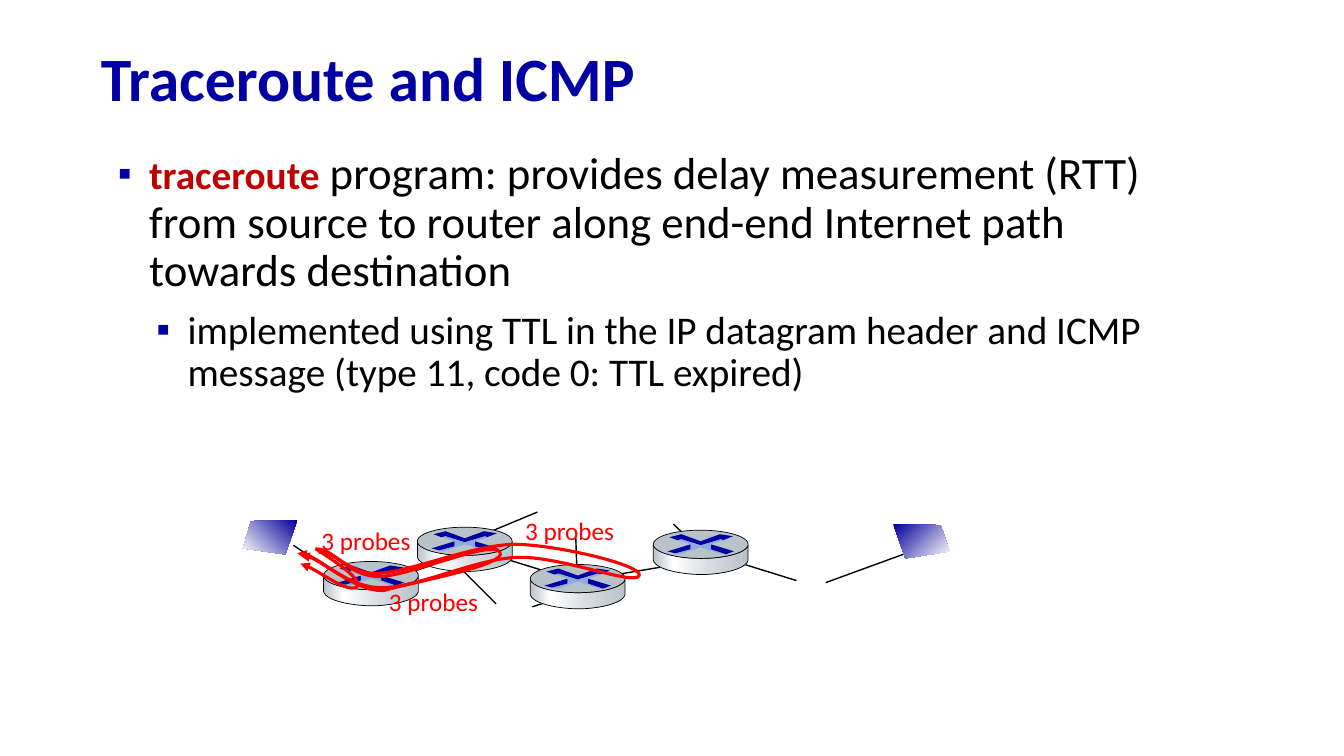
from lxml.etree import SubElement
from pptx import Presentation
from pptx.dml.color import RGBColor
from pptx.enum.shapes import MSO_CONNECTOR, MSO_SHAPE
from pptx.enum.text import MSO_ANCHOR, MSO_AUTO_SIZE, PP_ALIGN
from pptx.oxml.ns import qn
from pptx.util import Pt

PX = 9144
CURVE_STEPS = 16
COLORS = {
    "navy": "0000A3", "deep_navy": "0000A8", "host": "000099",
    "crimson": "C00000", "red": "FF0000", "black": "000000",
    "white": "FFFFFF", "steel": "B8C2C9", "silver": "D6DCE0",
    "sky": "8FAADC",
}
WALL_STOPS = [(0, "steel"), (21, "white"), (60, "silver"), (100, "steel")]
HOST_STOPS = [(0, "host"), (100, "white")]

ROUTER_WALL = [(94, 15), (94, 30), (91, 40, 63, 44, 48, 44), (32, 44, 3, 40, 0, 30),
               (0, 15), (5, 24, 31, 28, 47, 28), (63, 28, 90, 25, 94, 15)]
ROUTER_MARKS = [
    ("navy", [(66, 4), (79, 6), (69, 10), (67, 9), (47, 15), (28, 9),
              (24, 10), (16, 7), (28, 4), (47, 11)]),
    ("navy", [(57, 14), (80, 21), (72, 24), (57, 19)]),
    ("deep_navy", [(37, 14), (37, 19), (22, 23), (14, 21)]),
    ("sky", [(24, 10), (28, 9), (47, 15), (67, 9), (70, 10), (57, 14), (57, 19), (72, 24),
             (68, 24), (47, 17), (26, 24), (22, 23), (37, 19), (37, 14), (25, 10)]),
]
LINKS = [
    (51, 41, 102, 75), (145, 75, 215, 52), (247, 50, 321, 73), (293, 8, 221, 38),
    (218, 65, 252, 99), (449, 57, 354, 73), (341, 85, 288, 102), (476, 53, 550, 76),
    (664, 47, 579, 78), (428, 20, 463, 54), (331, 31, 332, 60),
]
NEAR_ROUTERS = [(81, 57), (174, 23), (286, 60)]
LAST_ROUTER = (408, 26)
PROBE_LABELS = [(69, 16), (136, 77), (271, 6)]
HOSTS = [
    (225, [(55, 16), (9, 17), (1, 44), (43, 50)]),
    (315, [(646, 20), (693, 21), (702, 47), (658, 54)]),
]
PROBES = [
    [(73, 45), (88, 42, 103, 69, 133, 69), (167, 68, 229, 40, 272, 40),
     (315, 41, 398, 61, 394, 71), (390, 82, 315, 51, 272, 53),
     (229, 55, 173, 84, 137, 83), (101, 83, 70, 45, 55, 49)],
    [(73, 44), (79, 49, 122, 74, 114, 82), (105, 90, 73, 63, 58, 59)],
    [(76, 48), (91, 44, 106, 72, 136, 72), (166, 72, 250, 34, 256, 48),
     (263, 61, 171, 77, 140, 86), (107, 86, 73, 48, 58, 51)],
]


def rgb(color):
    return RGBColor.from_string(COLORS[color])


def apply(target, **values):
    for key, value in values.items():
        setattr(target, key, value)


def place(target, box):
    apply(target, **{key: value * PX
                     for key, value in zip(("left", "top", "width", "height"), box)})


def write(paragraph, text, color, size, bold=False):
    run = paragraph.add_run()
    run.text = text
    apply(run.font, name="Calibri", size=Pt(size), bold=bold)
    run.font.color.rgb = rgb(color)


def add_bullet(paragraph, left, hanging):
    properties = paragraph._p.get_or_add_pPr()
    properties.set("marL", str(left * PX))
    properties.set("indent", str(-hanging * PX))
    bullet_color = SubElement(properties, qn("a:buClr"))
    SubElement(bullet_color, qn("a:srgbClr"), val=COLORS["navy"])
    SubElement(properties, qn("a:buFont"), typeface="Arial")
    SubElement(properties, qn("a:buChar"), char="▪")


def fill_solid(shape, color):
    shape.fill.solid()
    shape.fill.fore_color.rgb = rgb(color)


def fill_gradient(shape, stops, angle):
    shape.fill.gradient()
    shape.fill.gradient_angle = angle
    stop_list = shape._element.spPr.find(".//" + qn("a:gsLst"))
    for old_stop in list(stop_list):
        stop_list.remove(old_stop)
    for percent, color in stops:
        stop = SubElement(stop_list, qn("a:gs"), pos=str(percent * 1000))
        SubElement(stop, qn("a:srgbClr"), val=COLORS[color])


def draw_line(line, color, width):
    line.color.rgb = rgb(color)
    line.width = Pt(width)


def trace(outline):
    points = [outline[0]]
    for step in outline[1:]:
        if len(step) == 2:
            points.append(step)
            continue
        controls = [points[-1], step[:2], step[2:4], step[4:]]
        for index in range(1, CURVE_STEPS + 1):
            t = index / CURVE_STEPS
            weights = ((1 - t) ** 3, 3 * t * (1 - t) ** 2, 3 * t * t * (1 - t), t ** 3)
            points.append(tuple(sum(weight * control[axis]
                                    for weight, control in zip(weights, controls))
                                for axis in (0, 1)))
    return points


def add_outline(slide, origin, outline, close=True):
    points = [tuple(round((start + offset) * PX) for start, offset in zip(origin, point))
              for point in trace(outline)]
    builder = slide.shapes.build_freeform(*points[0], scale=1.0)
    builder.add_line_segments(points[1:], close=close)
    shape = builder.convert_to_shape()
    shape.shadow.inherit = False
    shape.line.fill.background()
    return shape


def add_title(slide, box):
    title = slide.shapes.title
    place(title, box)
    title.text_frame.vertical_anchor = MSO_ANCHOR.MIDDLE
    heading = title.text_frame.paragraphs[0]
    apply(heading, alignment=PP_ALIGN.LEFT, line_spacing=0.9)
    write(heading, "Traceroute and ICMP", "navy", 44, True)


def add_summary(slide, box):
    summary = slide.placeholders[1]
    place(summary, box)
    summary.text_frame.auto_size = MSO_AUTO_SIZE.NONE
    program = summary.text_frame.paragraphs[0]
    detail = summary.text_frame.add_paragraph()
    for paragraph, level, left, before in ((program, 0, 31, 0), (detail, 1, 69, 10)):
        add_bullet(paragraph, left, 31)
        apply(paragraph, level=level, line_spacing=0.9, space_before=Pt(before))
    write(program, "traceroute", "crimson", 28, True)
    write(program, " ", "red", 32)
    write(program, "program: provides delay measurement (RTT) from source to router "
          "along end-end Internet path towards destination", "black", 32)
    write(detail, "implemented using TTL in the IP datagram header and ICMP message "
          "(type 11, code 0: TTL expired)", "black", 28)


def add_link(slide, origin, ends):
    left, top = origin
    x1, y1, x2, y2 = ends
    link = slide.shapes.add_connector(
        MSO_CONNECTOR.STRAIGHT, (left + x1) * PX, (top + y1) * PX,
        (left + x2) * PX, (top + y2) * PX)
    draw_line(link.line, "black", 1)
    SubElement(link._element.spPr, qn("a:effectLst"))


def add_router(slide, origin):
    wall = add_outline(slide, origin, ROUTER_WALL)
    fill_gradient(wall, WALL_STOPS, 0)
    left, top = origin
    lid = slide.shapes.add_shape(MSO_SHAPE.OVAL, left * PX, top * PX, 94 * PX, 28 * PX)
    lid.shadow.inherit = False
    fill_solid(lid, "steel")
    for part in (wall, lid):
        draw_line(part.line, "black", 0.5)
    for color, outline in ROUTER_MARKS:
        fill_solid(add_outline(slide, origin, outline), color)


def add_probe_label(slide, origin):
    left, top = origin
    label = slide.shapes.add_textbox(left * PX, top * PX, 153 * PX, 40 * PX)
    apply(label.text_frame, word_wrap=True, auto_size=MSO_AUTO_SIZE.SHAPE_TO_FIT_TEXT)
    write(label.text_frame.paragraphs[0], "3 probes", "red", 18)


def add_probe(slide, origin, outline):
    probe = add_outline(slide, origin, outline, close=False)
    probe.fill.background()
    draw_line(probe.line, "red", 2.25)
    SubElement(probe.line._get_or_add_ln(), qn("a:tailEnd"), type="triangle")


def add_network(slide, origin):
    left, top = origin
    for ends in LINKS:
        add_link(slide, origin, ends)
    for x, y in NEAR_ROUTERS:
        add_router(slide, (left + x, top + y))
    for x, y in PROBE_LABELS:
        add_probe_label(slide, (left + x, top + y))
    for angle, outline in HOSTS:
        fill_gradient(add_outline(slide, origin, outline), HOST_STOPS, angle)
    for outline in PROBES:
        add_probe(slide, origin, outline)
    add_router(slide, (left + LAST_ROUTER[0], top + LAST_ROUTER[1]))


def main():
    deck = Presentation()
    apply(deck, slide_width=1333 * PX, slide_height=750 * PX)
    slide = deck.slides.add_slide(deck.slide_layouts[1])
    add_title(slide, (90, 32, 1150, 98))
    add_summary(slide, (107, 145, 1086, 294))
    add_network(slide, (240, 500))
    deck.save("out.pptx")


if __name__ == "__main__":
    main()
